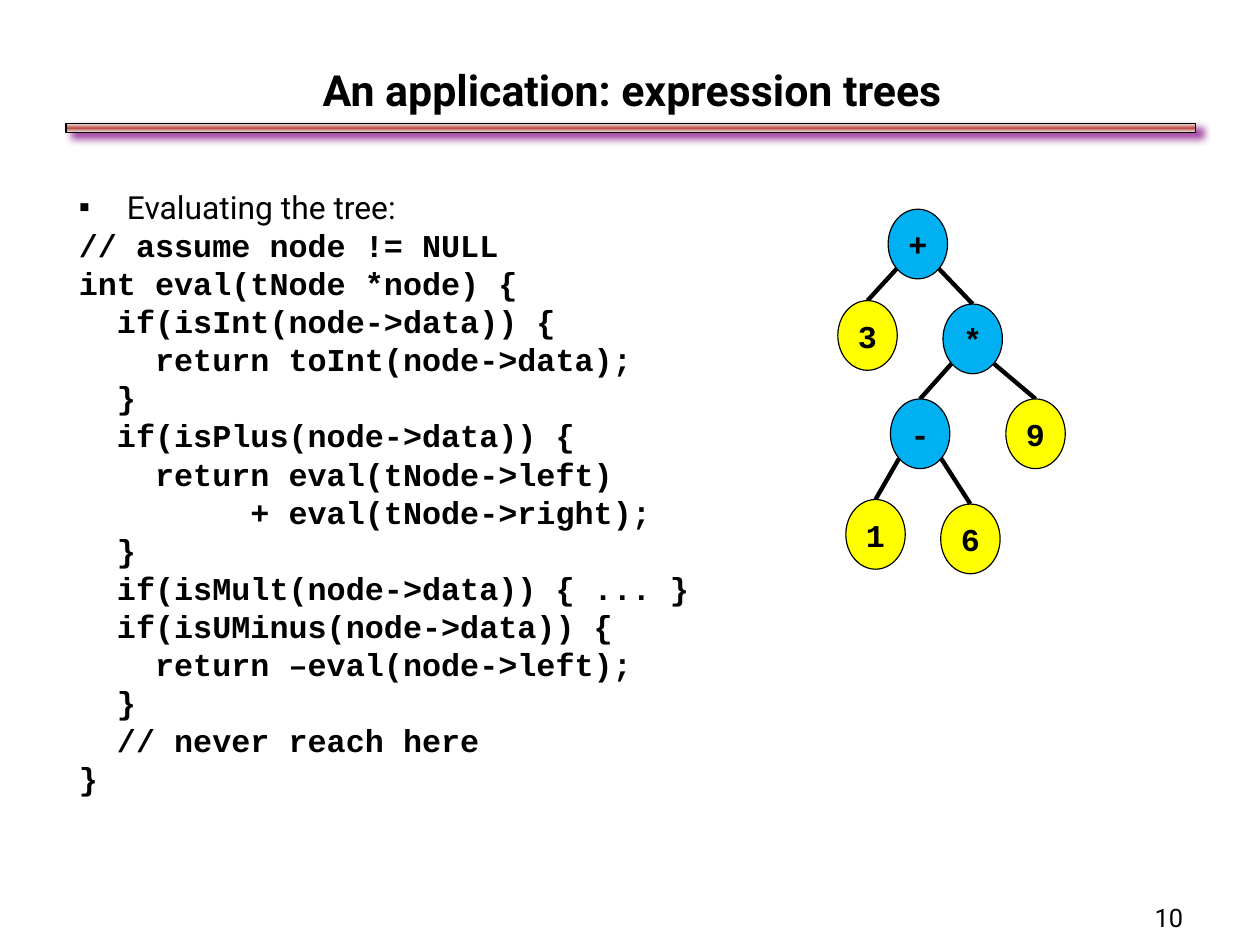
from copy import deepcopy
from dataclasses import dataclass
from math import sqrt
from typing import Any

from lxml.etree import SubElement
from pptx import Presentation
from pptx.dml.color import RGBColor
from pptx.enum.shapes import MSO_CONNECTOR, MSO_SHAPE
from pptx.enum.text import MSO_ANCHOR, MSO_AUTO_SIZE, PP_ALIGN
from pptx.oxml import parse_xml
from pptx.oxml.ns import qn
from pptx.util import Cm, Inches, Pt

COLORS = {
    "ink": "000000",
    "operator": "00B0F0",
    "operand": "FFFF00",
    "rule_edge": "EEECE1",
    "rule_center": "C0504D",
    "rule_shadow": "800080",
}
DRAWING_NS = "http://schemas.openxmlformats.org/drawingml/2006/main"
FRAME_FORMAT = {
    "margin_left": Inches(0.11),
    "margin_right": Inches(0.11),
    "margin_top": Inches(0.06),
    "margin_bottom": Inches(0.06),
    "word_wrap": True,
    "auto_size": MSO_AUTO_SIZE.NONE,
}
LINE_FORMAT = {"line_spacing": Pt(24), "space_before": Pt(0), "alignment": PP_ALIGN.LEFT}
TITLE_FONT = {"name": "Roboto", "size": Pt(27), "bold": True}
BULLET_FONT = {"name": "Roboto", "size": Pt(20), "bold": False}
CODE_FONT = {"name": "Courier New", "size": Pt(20), "bold": True}
NUMBER_FONT = {"name": "Roboto", "size": Pt(16), "bold": False}

CODE = """// assume node != NULL
int eval(tNode *node) {
  if(isInt(node->data)) {
    return toInt(node->data);
  }
  if(isPlus(node->data)) {
    return eval(tNode->left)
         + eval(tNode->right);
  }
  if(isMult(node->data)) { ... }
  if(isUMinus(node->data)) {
    return –eval(node->left);
  }
  // never reach here
}"""

NODE_WIDTH, NODE_HEIGHT = 0.52, 0.61


@dataclass(frozen=True)
class TreeNode:
    symbol: str
    left: float
    top: float
    children: tuple["TreeNode", ...] = ()

    @property
    def center_x(self) -> float:
        return self.left + NODE_WIDTH / 2


difference = TreeNode("-", 7.79, 3.49, (TreeNode("1", 7.4, 4.37), TreeNode("6", 8.23, 4.41)))
product = TreeNode("*", 8.25, 2.66, (difference, TreeNode("9", 8.8, 3.49)))
EXPRESSION = TreeNode("+", 7.77, 1.83, (TreeNode("3", 7.33, 2.63), product))


def rgb(color: str) -> RGBColor:
    return RGBColor.from_string(COLORS[color])


def apply_format(target: Any, values: dict[str, Any]) -> None:
    for attribute, value in values.items():
        setattr(target, attribute, value)


def set_font(paragraph: Any, values: dict[str, Any]) -> None:
    for run in paragraph.runs:
        apply_format(run.font, values)
        run.font.color.rgb = rgb("ink")


def place(shape: Any, left: float, top: float, width: float, height: float) -> None:
    apply_format(shape, {
        "left": Inches(left), "top": Inches(top),
        "width": Inches(width), "height": Inches(height),
    })


def outline(shape: Any, points: float) -> None:
    shape.line.color.rgb = rgb("ink")
    shape.line.width = Pt(points)


def add_title_rule(slide: Any) -> None:
    bar = slide.shapes.add_shape(
        MSO_SHAPE.RECTANGLE, Inches(0.58), Inches(1.08), Inches(9.88), Inches(0.08))
    bar.fill.gradient()
    bar.fill.gradient_angle = 90
    stop_list = bar.fill._fill._gradFill.find(qn("a:gsLst"))
    stop_list.insert(1, deepcopy(stop_list[0]))
    stops = zip(bar.fill.gradient_stops, (0, 0.5, 1), ("rule_edge", "rule_center", "rule_edge"))
    for stop, position, color in stops:
        stop.position = position
        stop.color.rgb = rgb(color)
    outline(bar, 1)
    bar._element.spPr.append(parse_xml(
        f'<a:effectLst xmlns:a="{DRAWING_NS}">'
        f'<a:outerShdw blurRad="{Pt(5)}" dist="{Pt(5)}" dir="{37 * 60000}" algn="ctr">'
        f'<a:srgbClr val="{COLORS["rule_shadow"]}"><a:alpha val="75000"/></a:srgbClr>'
        '</a:outerShdw></a:effectLst>'))


def set_bullet(paragraph: Any, symbol: str = "") -> None:
    """Give the paragraph a hanging bullet, or no bullet and no indent."""
    properties = paragraph._p.get_or_add_pPr()
    indent = Inches(0.42) if symbol else 0
    properties.set("marL", str(indent))
    properties.set("indent", str(-indent))
    if symbol:
        bullet_color = SubElement(properties, qn("a:buClr"))
        SubElement(bullet_color, qn("a:srgbClr"), val=COLORS["ink"])
        SubElement(properties, qn("a:buChar"), char=symbol)
    else:
        SubElement(properties, qn("a:buNone"))


def fill_title(title: Any) -> None:
    place(title, 0.58, 0.5, 9.9, 0.57)
    apply_format(title.text_frame, FRAME_FORMAT | {"vertical_anchor": MSO_ANCHOR.MIDDLE})
    title.text_frame.text = "An application: expression trees"
    heading = title.text_frame.paragraphs[0]
    heading.alignment = PP_ALIGN.CENTER
    set_font(heading, TITLE_FONT)


def fill_body(body: Any) -> None:
    place(body, 0.58, 1.58, 9.87, 6.17)
    apply_format(body.text_frame, FRAME_FORMAT | {"vertical_anchor": MSO_ANCHOR.TOP})
    body.text_frame.text = "Evaluating the tree:\n" + CODE
    for index, line in enumerate(body.text_frame.paragraphs):
        set_bullet(line, "" if index else "▪")
        apply_format(line, LINE_FORMAT)
        set_font(line, CODE_FONT if index else BULLET_FONT)


def add_page_number(slide: Any) -> None:
    page = slide.shapes.add_textbox(Inches(8.17), Inches(7.83), Inches(2.29), Inches(0.57))
    apply_format(page.text_frame, FRAME_FORMAT)
    page.text_frame.text = "10"
    number = page.text_frame.paragraphs[0]
    number.alignment = PP_ALIGN.RIGHT
    set_font(number, NUMBER_FONT)


def add_branch(slide: Any, parent: TreeNode, child: TreeNode) -> None:
    """Join the parent's lower diagonal point to the top of the child."""
    side = -1 if child.center_x < parent.center_x else 1
    start_x = parent.center_x + side * NODE_WIDTH / 2 / sqrt(2)
    start_y = parent.top + NODE_HEIGHT / 2 * (1 + 1 / sqrt(2))
    branch = slide.shapes.add_connector(
        MSO_CONNECTOR.STRAIGHT, Inches(start_x), Inches(start_y),
        Inches(child.center_x), Inches(child.top))
    outline(branch, 2.75)
    SubElement(branch._element.spPr, qn("a:effectLst"))


def add_tree(slide: Any, node: TreeNode) -> None:
    ellipse = slide.shapes.add_shape(
        MSO_SHAPE.OVAL, Inches(node.left), Inches(node.top),
        Inches(NODE_WIDTH), Inches(NODE_HEIGHT))
    ellipse.shadow.inherit = False
    ellipse.fill.solid()
    ellipse.fill.fore_color.rgb = rgb("operator" if node.children else "operand")
    outline(ellipse, 0.75)
    apply_format(ellipse.text_frame, {"word_wrap": False, "vertical_anchor": MSO_ANCHOR.MIDDLE})
    ellipse.text_frame.text = node.symbol
    symbol = ellipse.text_frame.paragraphs[0]
    symbol.alignment = PP_ALIGN.CENTER
    set_font(symbol, CODE_FONT)
    for child in node.children:
        add_branch(slide, node, child)
        add_tree(slide, child)


def main() -> None:
    deck = Presentation()
    deck.slide_width = Cm(28)
    deck.slide_height = Cm(21)
    slide = deck.slides.add_slide(deck.slide_layouts[1])
    add_title_rule(slide)
    fill_title(slide.shapes.title)
    fill_body(slide.placeholders[1])
    add_page_number(slide)
    add_tree(slide, EXPRESSION)
    deck.save("out.pptx")


if __name__ == "__main__":
    main()
